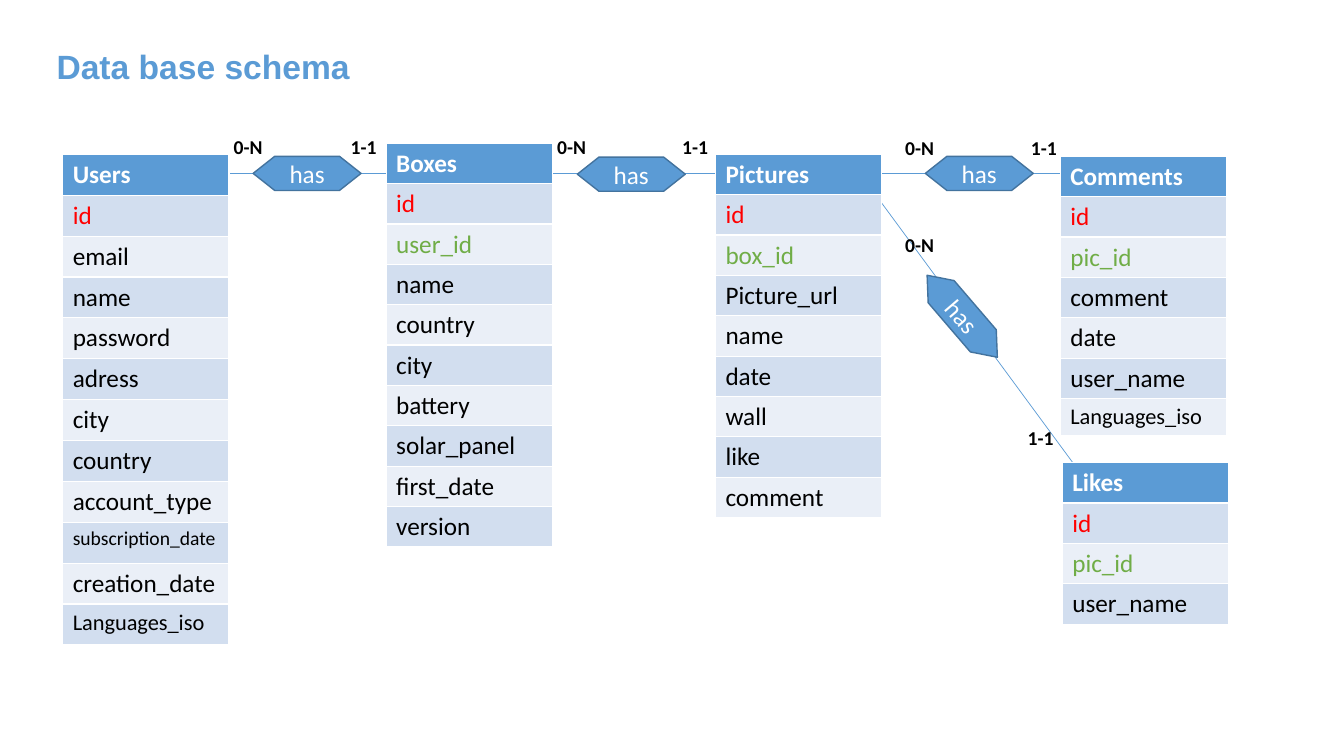
"""Build the data base schema slide: entity tables joined by relations."""
import pptx
import pptx.dml.color
import pptx.enum.shapes
import pptx.enum.text
import pptx.oxml.ns
import pptx.util
from lxml import etree
from pptx.util import Cm

BLUE, DARK_BLUE, BAND, LIGHT = "5B9BD5", "43739E", "D2DEEF", "EAEFF7"
WHITE, BLACK, RED, GREEN = "FFFFFF", "000000", "FF0000", "70AD47"
ALIGN = pptx.enum.text.PP_ALIGN
ANCHOR = pptx.enum.text.MSO_ANCHOR
TABLE_W = 4.19
SMALL_SIZES = {"subscription_date": 14, "Languages_iso": 16}

TABLES = [
    (1.58, 3.89, 12.37, 1.03, "Users",
     "id email name password adress city country account_type "
     "subscription_date creation_date Languages_iso"),
    (9.73, 3.61, 10.16, 0.36, "Boxes",
     "id user_id name country city battery solar_panel first_date version"),
    (18.03, 3.89, 9.14, 0.33, "Pictures",
     "id box_id Picture_url name date wall like comment"),
    (26.72, 3.94, 7.04, 0.56, "Comments",
     "id pic_id comment date user_name Languages_iso"),
    (26.77, 11.66, 4.06, 0.01, "Likes", "id pic_id user_name"),
]
LINES = [(21.67, 4.37, 27.28, 11.99), (21.67, 4.37, 27.84, 4.37),
         (5.61, 4.37, 19.2, 4.37)]
RELATIONS = [
    ((6.38, 3.94, 0), (5.64, 3.28), (8.59, 3.28)),
    ((14.55, 3.96, 0), (13.79, 3.28), (16.94, 3.28)),
    ((23.32, 3.94, 0), (22.56, 3.3), (25.73, 3.3)),
    ((22.89, 7.54, 49.4), (22.56, 5.74), (25.65, 10.62)),
]


def rgb(color):
    """Return the colour object of a hex string."""
    return pptx.dml.color.RGBColor.from_string(color)


def set_text(tf, text, size=18, color=BLACK, bold=False, font="Calibri",
             align=ALIGN.LEFT):
    """Write one formatted line into a text frame."""
    p = tf.paragraphs[0]
    p.alignment = align
    r = p.add_run()
    r.text = text
    r.font.size = pptx.util.Pt(size)
    r.font.name = font
    r.font.bold = bold
    r.font.color.rgb = rgb(color)


def fit_to_text(tf):
    """Make a text frame grow with a line that does not wrap."""
    tf.word_wrap = False
    tf.auto_size = pptx.enum.text.MSO_AUTO_SIZE.SHAPE_TO_FIT_TEXT
    tf.vertical_anchor = ANCHOR.TOP


def add_title(s, text):
    """Place and format the title placeholder."""
    sp = s.shapes.title
    sp.left, sp.top, sp.width, sp.height = Cm(1.17), Cm(1.04), Cm(7.98), Cm(1.27)
    fit_to_text(sp.text_frame)
    set_text(sp.text_frame, text, size=24, color=BLUE, bold=True, font="Arial")


def add_line(s, x1, y1, x2, y2):
    """Draw a thin relation line."""
    cxn = s.shapes.add_connector(pptx.enum.shapes.MSO_CONNECTOR.STRAIGHT,
                                 Cm(x1), Cm(y1), Cm(x2), Cm(y2))
    cxn.line.color.rgb = rgb(BLUE)
    cxn.line.width = pptx.util.Pt(0.5)
    sp_pr = cxn._element.find(pptx.oxml.ns.qn("p:spPr"))
    etree.SubElement(sp_pr, pptx.oxml.ns.qn("a:effectLst"))


def field_color(field):
    """Return red for a primary key, green for a foreign key, else black."""
    if field == "id":
        return RED
    return GREEN if field.endswith("_id") else BLACK


def add_entity(s, x, y, height, row_h, name, fields):
    """Add an entity table with a header and banded field rows."""
    fields = fields.split()
    frame = s.shapes.add_table(len(fields) + 1, 1, Cm(x), Cm(y),
                               Cm(TABLE_W), Cm(height))
    tbl = frame.table
    for row in tbl.rows:
        row.height = Cm(row_h)
    frame.height = Cm(height)
    for i, text in enumerate([name] + fields):
        cell = tbl.cell(i, 0)
        cell.fill.solid()
        if i == 0:
            fill, color = BLUE, WHITE
        else:
            fill, color = BAND if i % 2 else LIGHT, field_color(text)
        cell.fill.fore_color.rgb = rgb(fill)
        set_text(cell.text_frame, text, size=SMALL_SIZES.get(text, 18),
                 color=color, bold=i == 0)


def add_relation(s, x, y, rotation):
    """Add a relation hexagon."""
    sp = s.shapes.add_shape(pptx.enum.shapes.MSO_SHAPE.FLOWCHART_PREPARATION,
                            Cm(x), Cm(y), Cm(2.72), Cm(0.86))
    sp.shadow.inherit = False
    sp.rotation = rotation
    sp.fill.solid()
    sp.fill.fore_color.rgb = rgb(BLUE)
    sp.line.color.rgb = rgb(DARK_BLUE)
    sp.line.width = pptx.util.Pt(1)
    sp.text_frame.vertical_anchor = ANCHOR.MIDDLE
    set_text(sp.text_frame, "has", color=WHITE, align=ALIGN.CENTER)


def add_cardinality(s, x, y, text, width):
    """Add a cardinality label."""
    tf = s.shapes.add_textbox(Cm(x), Cm(y), Cm(width), Cm(0.86)).text_frame
    fit_to_text(tf)
    set_text(tf, text, size=14, bold=True)


def main():
    """Build and save the slide."""
    prs = pptx.Presentation()
    prs.slide_width, prs.slide_height = Cm(33.87), Cm(19.05)
    s = prs.slides.add_slide(prs.slide_layouts[5])
    add_title(s, "Data base schema")
    for line in LINES:
        add_line(s, *line)
    for entity in TABLES:
        add_entity(s, *entity)
    for hexagon, many, one in RELATIONS:
        add_relation(s, *hexagon)
        add_cardinality(s, *many, "0-N", 1.24)
        add_cardinality(s, *one, "1-1", 1.17)
    prs.save("out.pptx")


if __name__ == "__main__":
    main()
